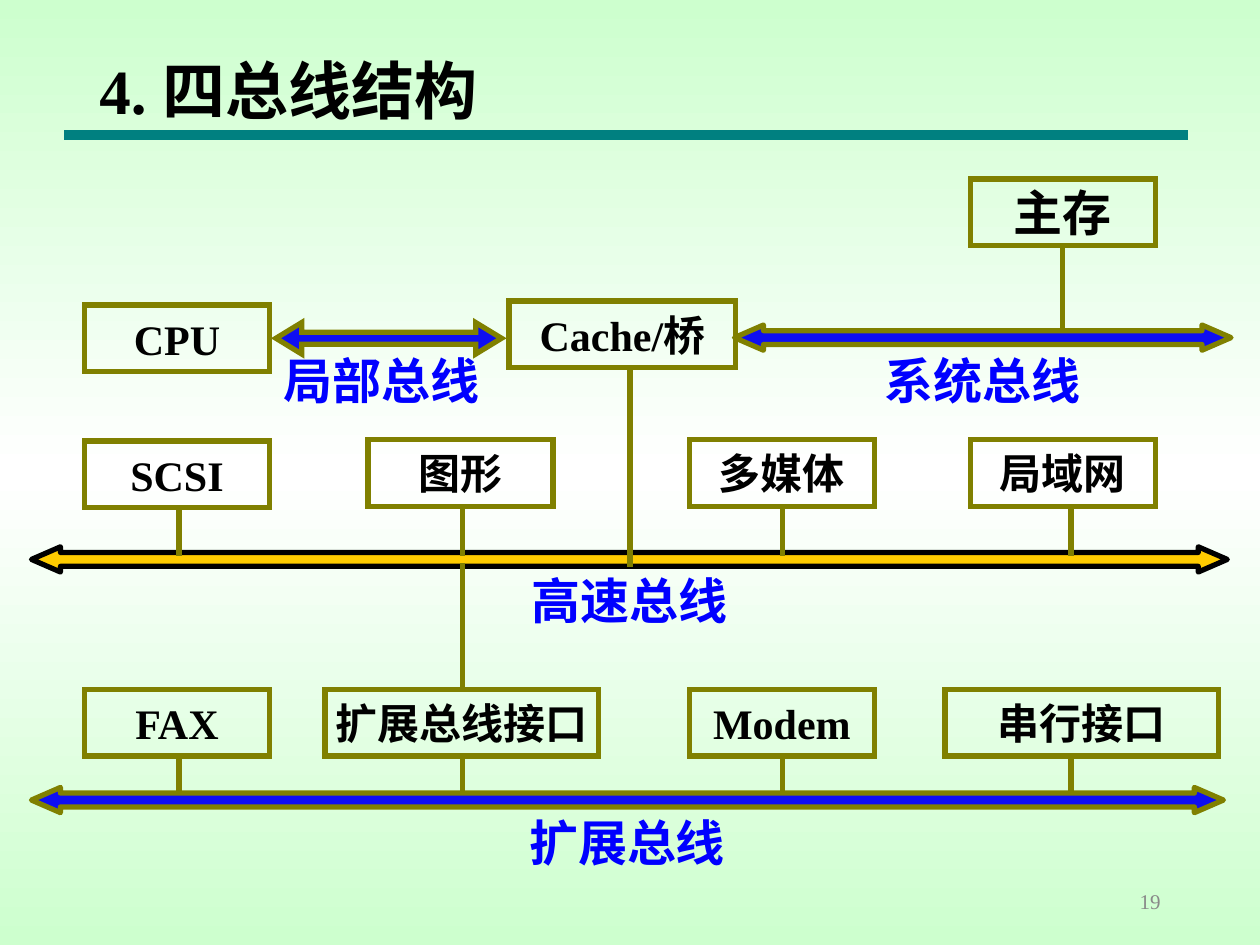
from copy import deepcopy
from dataclasses import dataclass

from lxml import etree
from pptx import Presentation
from pptx import util as u
from pptx.dml.color import RGBColor
from pptx.enum import shapes, text
from pptx.oxml import ns


@dataclass(frozen=True)
class Theme:
    mint: str = "CDFFCE"
    white: str = "FFFFFF"
    teal: str = "008080"
    olive: str = "808000"
    black: str = "000000"
    gold: str = "FFCC00"
    blue: str = "0E0EF2"
    label: str = "0000FF"
    gray: str = "898989"
    latin: str = "Times New Roman"
    asian: str = "Noto Sans CJK SC"
    title: int = 36
    large: int = 28
    body: int = 24
    small: int = 12
    rule: int = 6
    line: int = 3


def color(code):
    return RGBColor.from_string(code)


def add(parent, tag, **attrs):
    return etree.SubElement(parent, ns.qn(tag), attrs)


class Deck:
    def __init__(self, theme):
        self.theme = theme
        self.file = Presentation()
        self.file.slide_width = u.Inches(10)
        self.file.slide_height = u.Inches(7.5)
        self.slide = self.file.slides.add_slide(self.file.slide_layouts[6])
        self.items = self.slide.shapes

    def backdrop(self, *codes):
        fill = self.slide.background.fill
        fill.gradient()
        fill.gradient_angle = 90
        stops = self.slide.element.xpath(".//a:gsLst")[0]
        stops.insert(1, deepcopy(stops[0]))
        for i, (stop, code) in enumerate(zip(fill.gradient_stops, codes)):
            stop.position = i / (len(codes) - 1)
            stop.color.rgb = color(code)

    def wire(self, x1, y1, x2, y2, code=None, width=None):
        line = self.items.add_connector(
            shapes.MSO_CONNECTOR.STRAIGHT, *map(u.Inches, (x1, y1, x2, y2)))
        line.line.color.rgb = color(code or self.theme.olive)
        line.line.width = u.Pt(width or self.theme.line)
        add(line.element.spPr, "a:effectLst")

    def paint(self, shape, fill=None, edge=None, sharp=False):
        shape.shadow.inherit = False
        if fill:
            shape.fill.solid()
            shape.fill.fore_color.rgb = color(fill)
        else:
            shape.fill.background()
        shape.line.color.rgb = color(edge or self.theme.olive)
        shape.line.width = u.Pt(self.theme.line)
        if sharp:
            add(shape.element.xpath(".//a:ln")[0], "a:miter", lim="800000")

    def shape(self, kind, x, y, w, h, fill=None):
        item = self.items.add_shape(kind, *map(u.Inches, (x, y, w, h)))
        self.paint(item, fill, sharp=True)
        return item

    def words(self, label, x, y, w, h, size, code=None, bold=True,
              align=text.PP_ALIGN.LEFT, inset=(0, 0), wrap=False):
        frame = self.items.add_textbox(
            *map(u.Inches, (x, y, w, h))).text_frame
        frame.word_wrap = wrap
        frame.margin_left = frame.margin_right = u.Inches(inset[0])
        frame.margin_top = frame.margin_bottom = u.Inches(inset[1])
        if wrap:
            frame.vertical_anchor = text.MSO_ANCHOR.MIDDLE
        para = frame.paragraphs[0]
        para.alignment = align
        run = para.add_run()
        run.text = label
        font = run.font
        font.size, font.bold = u.Pt(size), bold
        font.color.rgb = color(code or self.theme.black)
        roman = label[0].isascii()
        font.name = self.theme.latin if roman else self.theme.asian
        add(font._element, "a:ea", typeface=self.theme.asian)

    def box(self, label, x, y, w, span, size=None):
        size = size or self.theme.body
        tall, high = 0.53, size / 60
        self.shape(shapes.MSO_SHAPE.RECTANGLE, x, y, w, tall)
        self.words(label, x + (w - span) / 2, y + (tall - high) / 2, span,
                   high, size, align=text.PP_ALIGN.CENTER)

    def bus(self, left, right, y, fill, edge=None):
        head, wing, core = 0.23, 0.1, 0.055
        a, b = left + head, right - head
        dots = [(left, y), (a, y + wing), (a, y + core), (b, y + core),
                (b, y + wing), (right, y), (b, y - wing), (b, y - core),
                (a, y - core), (a, y - wing)]
        dots = [(u.Inches(px), u.Inches(py)) for px, py in dots]
        form = self.items.build_freeform(*dots[0])
        form.add_line_segments(dots[1:], close=True)
        self.paint(form.convert_to_shape(), fill, edge)


def main():
    theme = Theme()
    deck = Deck(theme)
    pad = (0.1, 0.05)
    deck.backdrop(theme.mint, theme.white, theme.mint)
    deck.wire(0.51, 1.07, 9.43, 1.07, theme.teal, theme.rule)
    deck.words("4. 四总线结构", 0.69, 0.36, 3.4, 0.7, theme.title, inset=pad)

    unit, wide = 1.47, 2.17
    top, mid, low = 2.4, 3.49, 5.47
    deck.box("主存", 7.7, 1.42, unit, 0.85, theme.large)
    for label, x, y, w, span in [
        ("CPU", 0.67, top + 0.02, unit, 0.8),
        ("Cache/桥", 4.04, top - 0.01, 1.8, 1.6),
        ("SCSI", 0.67, mid + 0.01, unit, 0.85),
        ("图形", 2.92, mid, unit, 0.75),
        ("多媒体", 5.47, mid, unit, 1.1),
        ("局域网", 7.7, mid, unit, 1.1),
        ("FAX", 0.67, low, unit, 0.8),
        ("扩展总线接口", 2.58, low, wide, 2.1),
        ("Modem", 5.47, low, unit, 1.25),
        ("串行接口", 7.5, low, wide, 1.45),
    ]:
        deck.box(label, x, y, w, span)

    deck.wire(8.43, 1.94, 8.43, 2.67)
    deck.bus(0.25, 9.74, 4.44, theme.gold, theme.black)
    for x in (1.42, 3.67, 6.21, 8.5):
        deck.wire(x, 4.01, x, 4.41)
        deck.wire(x, 6, x, 6.42)
    deck.wire(5, 2.92, 5, 4.5)
    deck.wire(3.67, 4.47, 3.67, low)
    deck.bus(5.83, 9.77, 2.68, theme.blue)
    deck.bus(0.25, 9.71, 6.35, theme.blue)
    link = deck.shape(shapes.MSO_SHAPE.LEFT_RIGHT_ARROW,
                      2.19, 2.56, 1.79, 0.25, theme.blue)
    link.adjustments[0], link.adjustments[1] = 0.38, 0.82

    for label, x, y in [
        ("系统总线", 7.02, 2.78),
        ("局部总线", 2.25, 2.78),
        ("高速总线", 4.22, 4.53),
        ("扩展总线", 4.2, 6.45),
    ]:
        deck.words(label, x, y, 1.62, 0.47, theme.large, theme.label)
    deck.words("19", 7.06, 6.95, 2.25, 0.4, theme.small, theme.gray, False,
               text.PP_ALIGN.RIGHT, pad, True)
    deck.file.save("out.pptx")


if __name__ == "__main__":
    main()
